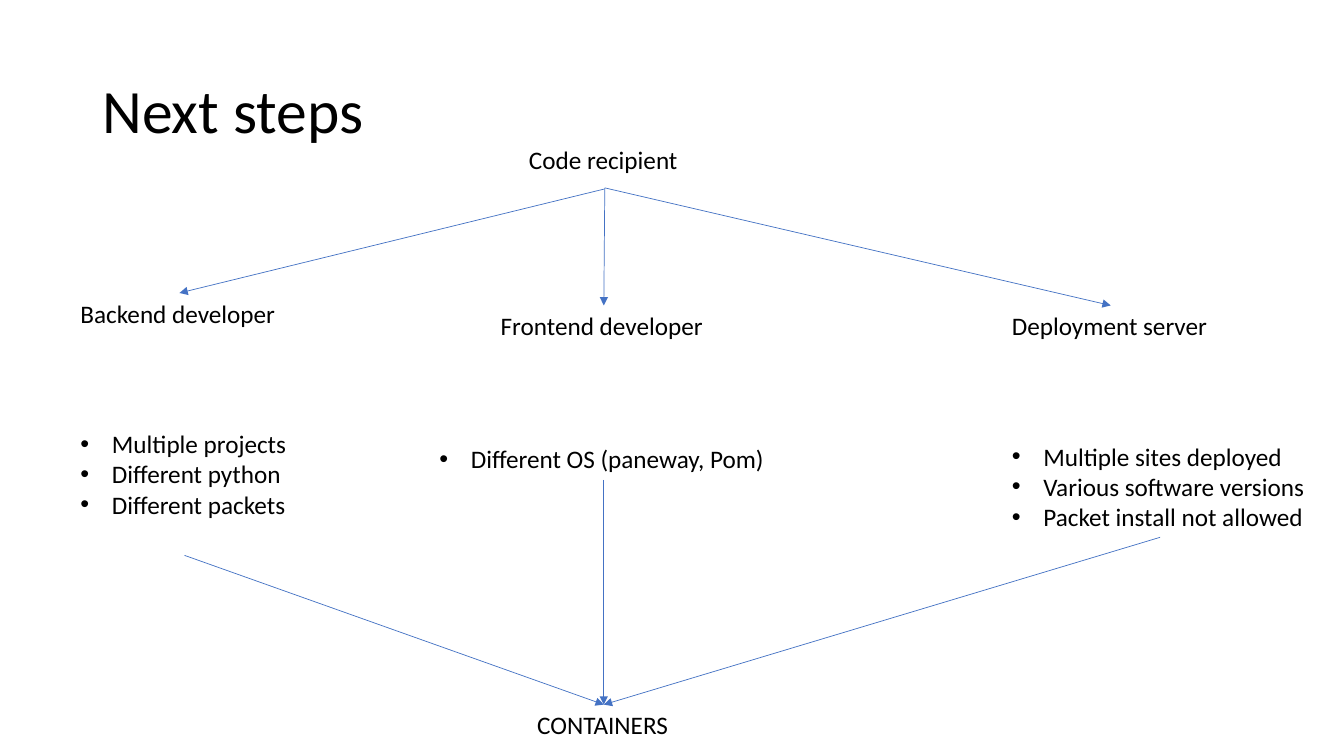
from dataclasses import dataclass

import pptx
import pptx.dml.color
import pptx.enum.shapes
import pptx.enum.text
import pptx.oxml.xmlchemy
import pptx.slide
import pptx.text.text
import pptx.util

Pt = pptx.util.Pt
FONT = "Calibri"
COLORS = {"text": "000000", "arrow": "4472C4"}
LABEL_HEIGHT = 29.08
BULLET_INDENT = 22.5
Point = tuple[float, float]


@dataclass
class Label:
    lines: list[str]
    left: float
    top: float
    width: float
    height: float = LABEL_HEIGHT
    bulleted: bool = False


@dataclass
class Recipient:
    role: Label
    needs: Label
    arrow_in: tuple[Point, Point]
    arrow_out: Point


def color(name: str) -> pptx.dml.color.RGBColor:
    return pptx.dml.color.RGBColor.from_string(COLORS[name])


def add_run(paragraph: pptx.text.text._Paragraph, text: str, size: float) -> None:
    run = paragraph.add_run()
    run.text = text
    run.font.name = FONT
    run.font.size = Pt(size)
    run.font.color.rgb = color("text")


def add_bullet(paragraph: pptx.text.text._Paragraph) -> None:
    properties = paragraph._p.get_or_add_pPr()
    properties.set("marL", str(Pt(BULLET_INDENT)))
    properties.set("indent", str(-Pt(BULLET_INDENT)))
    for tag, attribute, value in (("a:buFont", "typeface", "Arial"),
                                  ("a:buChar", "char", "•")):
        element = pptx.oxml.xmlchemy.OxmlElement(tag)
        element.set(attribute, value)
        properties.append(element)


def draw_label(slide: pptx.slide.Slide, label: Label) -> None:
    frame = slide.shapes.add_textbox(
        Pt(label.left), Pt(label.top), Pt(label.width), Pt(label.height)
    ).text_frame
    frame.word_wrap = False
    frame.auto_size = pptx.enum.text.MSO_AUTO_SIZE.SHAPE_TO_FIT_TEXT
    for index, line in enumerate(label.lines):
        paragraph = frame.add_paragraph() if index else frame.paragraphs[0]
        if label.bulleted:
            add_bullet(paragraph)
        add_run(paragraph, line, 18)


def draw_arrow(slide: pptx.slide.Slide, start: Point, end: Point) -> None:
    arrow = slide.shapes.add_connector(
        pptx.enum.shapes.MSO_CONNECTOR.STRAIGHT,
        *(Pt(value) for value in (*start, *end)))
    arrow.line.color.rgb = color("arrow")
    arrow.line.width = Pt(0.5)
    tip = pptx.oxml.xmlchemy.OxmlElement("a:tailEnd")
    tip.set("type", "triangle")
    arrow.line._get_or_add_ln().append(tip)
    arrow._element.spPr.append(pptx.oxml.xmlchemy.OxmlElement("a:effectLst"))


def draw_title(slide: pptx.slide.Slide, text: str) -> None:
    title = slide.shapes.title
    title.left, title.top = Pt(66), Pt(28.75)
    title.width, title.height = Pt(828), Pt(104.38)
    frame = title.text_frame
    frame.word_wrap = True
    frame.auto_size = pptx.enum.text.MSO_AUTO_SIZE.NONE
    frame.vertical_anchor = pptx.enum.text.MSO_ANCHOR.MIDDLE
    paragraph = frame.paragraphs[0]
    paragraph.alignment = pptx.enum.text.PP_ALIGN.LEFT
    paragraph.line_spacing = 0.9
    add_run(paragraph, text, 44)


# Source and goal of the flow
CODE = Label(["Code recipient"], 370.8, 99.4, 122.4)
CONTAINERS = Label(["CONTAINERS"], 376.6, 503.3, 108.7)
CODE_EXIT = (432, 134.2)
CONTAINERS_ENTRY = (431.3, 503.3)

# Recipients, from left to right
RECIPIENTS = [
    Recipient(
        Label(["Backend developer"], 50.4, 209.3, 155.5),
        Label(["Multiple projects", "Different python", "Different packets"],
              50.4, 302.4, 163.4, 94.3, bulleted=True),
        ((431.3, 135.1), (128.2, 209.3)), (131.8, 396.7)),
    Recipient(
        Label(["Frontend developer"], 350.6, 218.2, 160.6),
        Label(["Different OS (paneway, Pom)"], 306.7, 313.2, 249.1, bulleted=True),
        (CODE_EXIT, (431.3, 218.2)), (431.3, 342.7)),
    Recipient(
        Label(["Deployment server"], 715.7, 218.2, 155.5),
        Label(["Multiple sites deployed", "Various software versions",
               "Packet install not allowed"],
              715.7, 311.4, 226.1, 72.7, bulleted=True),
        (CODE_EXIT, (793.4, 218.2)), (828.7, 383.8)),
]


def main() -> None:
    deck = pptx.Presentation()
    deck.slide_width, deck.slide_height = Pt(960), Pt(540)
    slide = deck.slides.add_slide(deck.slide_layouts.get_by_name("Title Only"))

    # Title and flow from code to containers
    draw_title(slide, "Next steps")
    draw_label(slide, CODE)
    for recipient in RECIPIENTS:
        draw_label(slide, recipient.role)
        draw_label(slide, recipient.needs)
        draw_arrow(slide, *recipient.arrow_in)
        draw_arrow(slide, recipient.arrow_out, CONTAINERS_ENTRY)
    draw_label(slide, CONTAINERS)

    deck.save("out.pptx")


if __name__ == "__main__":
    main()
